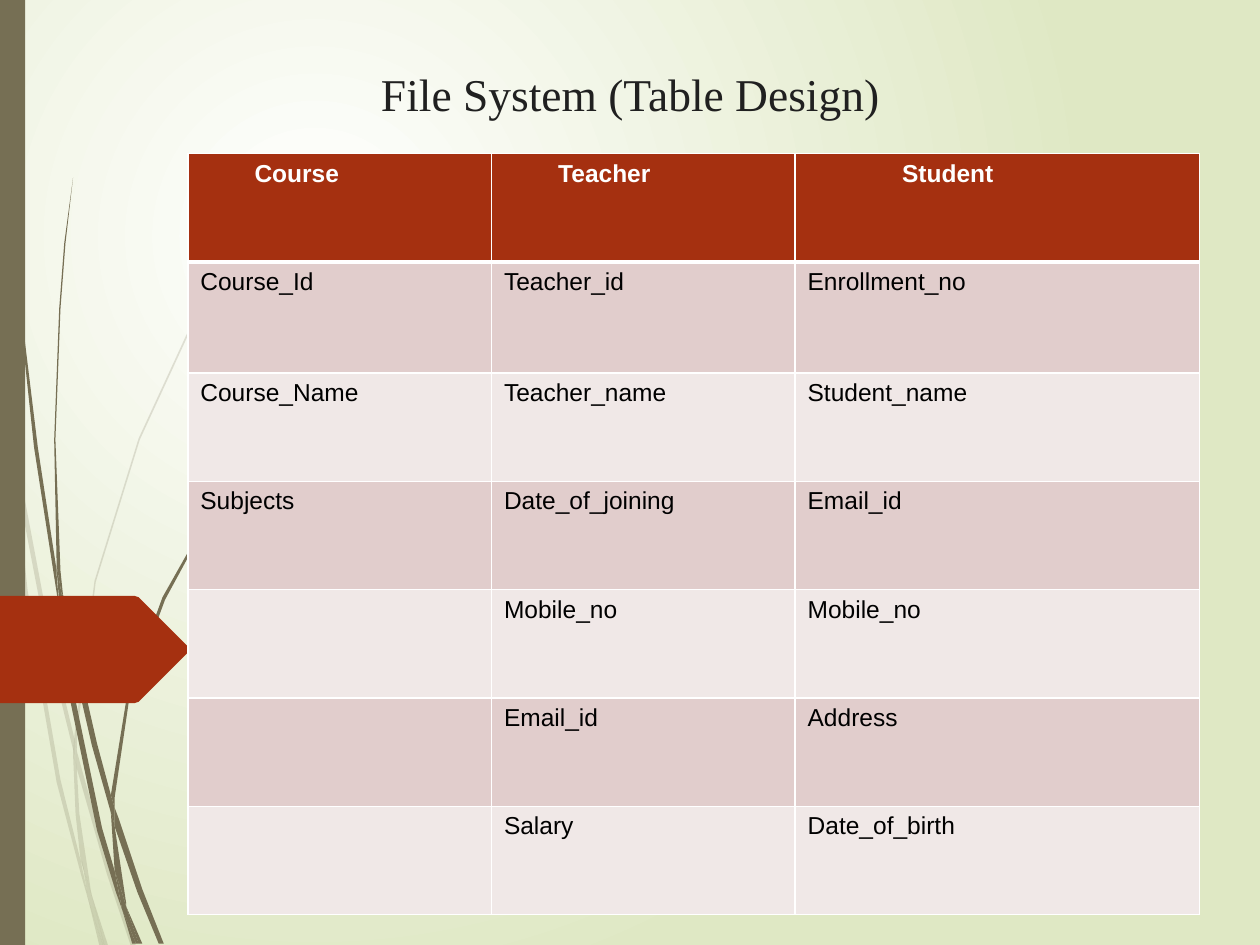
from dataclasses import dataclass
from lxml.etree import SubElement
from pptx import Presentation
from pptx.dml.color import RGBColor
from pptx.enum.shapes import MSO_SHAPE
from pptx.enum.text import MSO_ANCHOR, PP_ALIGN
from pptx.oxml.ns import qn
from pptx.util import Pt

PX = 9144


@dataclass(frozen=True)
class Theme:
    light: str = "FFFFFF"
    green: str = "DFE8C4"
    olive: str = "766F54"
    rust: str = "A53010"
    bands: tuple = ("E1CDCC", "F0E8E7")
    title_ink: str = "202020"
    body_ink: str = "000000"
    title_font: str = "Times New Roman"
    body_font: str = "Arial"
    title_size: int = 26
    body_size: int = 14


THEME = Theme()

PALE_WISPS = [
    [(8, 350), (6, 322), (0, 282), (0, 299), (7, 344)],
    [(40, 522), (59, 599), (59, 586), (43, 520), (10, 345), (12, 376)],
    [(64, 607), (61, 596), (61, 610), (85, 694), (104, 751), (108, 751), (88, 692)],
    [(83, 751), (86, 751), (73, 711)],
    [(64, 683), (48, 619), (22, 469), (12, 376), (8, 350), (19, 470), (45, 621),
     (64, 693), (70, 714), (69, 707)],
    [(58, 599), (60, 646), (64, 683), (67, 692), (73, 711), (72, 706), (63, 646),
     (61, 610), (61, 608)],
    [(61, 584), (76, 462), (111, 349), (159, 245), (187, 198), (201, 175), (217, 154),
     (217, 153), (201, 175), (186, 197), (158, 244), (110, 348), (75, 461), (59, 584),
     (59, 586), (61, 596)],
    [(70, 714), (79, 751), (82, 751)],
    [(61, 608), (61, 610), (61, 596), (59, 586), (58, 599)],
    [(67, 692), (65, 683), (69, 707), (70, 714), (82, 751), (83, 751), (73, 711)],
]

DARK_WISPS = [
    [(5, 110), (14, 233), (27, 355), (46, 477), (47, 481), (45, 457), (45, 453),
     (30, 355), (15, 232), (6, 109), (4, 48), (3, 0), (2, 0), (3, 48)],
    [(73, 592), (88, 645), (88, 633), (88, 631), (77, 590), (50, 472), (53, 505)],
    [(94, 649), (91, 641), (91, 656), (109, 708), (126, 749), (130, 749), (113, 706)],
    [(91, 691), (81, 657), (60, 556), (53, 505), (47, 477), (56, 557), (77, 659),
     (92, 708), (97, 722), (96, 717)],
    [(50, 472), (48, 453), (44, 349), (48, 245), (52, 193), (58, 141), (51, 193),
     (47, 245), (43, 349), (45, 449), (49, 472)],
    [(110, 749), (113, 749), (100, 719)],
    [(47, 477), (53, 505), (50, 472), (49, 472), (45, 449), (45, 453)],
    [(91, 633), (103, 552), (131, 476), (169, 406), (191, 374), (203, 359), (216, 344),
     (215, 344), (203, 358), (191, 373), (168, 405), (129, 474), (101, 551), (88, 631),
     (91, 641)],
    [(97, 722), (105, 749), (108, 749)],
    [(88, 645), (91, 691), (96, 706), (100, 719), (100, 716), (91, 656), (90, 651)],
    [(88, 645), (90, 651), (91, 656), (91, 641), (88, 631), (88, 633)],
    [(96, 706), (91, 691), (96, 717), (97, 722), (108, 749), (110, 749), (100, 719)],
]

ARROW = [(-3, 473), (107, 473), (110, 474), (149, 513), (150, 515), (149, 518),
         (110, 557), (107, 558), (-3, 558)]

COLUMNS = [241, 241, 321]
HEADER_INDENTS = [53, 53, 85]
ROWS = [
    ("Course", "Teacher", "Student"),
    ("Course_Id", "Teacher_id", "Enrollment_no"),
    ("Course_Name", "Teacher_name", "Student_name"),
    ("Subjects", "Date_of_joining", "Email_id"),
    ("", "Mobile_no", "Mobile_no"),
    ("", "Email_id", "Address"),
    ("", "Salary", "Date_of_birth"),
]
ROW_HEIGHTS = [86, 88] + [86] * 5


def write_text(frame, text, font, size, color, bold=False, align=PP_ALIGN.LEFT):
    para = frame.paragraphs[0]
    para.alignment = align
    span = para.add_run()
    span.text = text
    span.font.name = font
    span.font.size = Pt(size)
    span.font.bold = bold
    span.font.color.rgb = RGBColor.from_string(color)


def paint_background(page):
    fill = page.background.fill
    fill.gradient()
    for stop, color in zip(fill.gradient_stops, (THEME.light, THEME.green)):
        stop.color.rgb = RGBColor.from_string(color)
    gradient = page.element.find(".//" + qn("a:gradFill"))
    gradient.remove(gradient.find(qn("a:lin")))
    circle = SubElement(gradient, qn("a:path"), path="circle")
    SubElement(circle, qn("a:fillToRect"), l="50000", t="50000", r="100000", b="100000")


def paint_shape(shape, color, opacity=100):
    shape.shadow.inherit = False
    shape.fill.solid()
    shape.fill.fore_color.rgb = RGBColor.from_string(color)
    shape.line.fill.background()
    if opacity < 100:
        tint = shape.element.spPr.find(".//" + qn("a:srgbClr"))
        SubElement(tint, qn("a:alpha"), val=str(opacity * 1000))


def add_outline(page, points, color, opacity=100):
    builder = page.shapes.build_freeform(*points[0], scale=PX)
    builder.add_line_segments(points[1:], close=True)
    paint_shape(builder.convert_to_shape(), color, opacity)


def add_bar(page, left, top, width, height):
    bar = page.shapes.add_shape(
        MSO_SHAPE.RECTANGLE, left * PX, top * PX, width * PX, height * PX)
    paint_shape(bar, THEME.olive)


def add_title(page, text, left, top, width, height):
    box = page.shapes.add_textbox(left * PX, top * PX, width * PX, height * PX)
    box.text_frame.word_wrap = True
    box.text_frame.vertical_anchor = MSO_ANCHOR.BOTTOM
    write_text(box.text_frame, text, font=THEME.title_font, size=THEME.title_size,
               color=THEME.title_ink, align=PP_ALIGN.CENTER)


def add_borders(cell, top, bottom):
    properties = cell._tc.get_or_add_tcPr()
    for side, width in (("L", 1), ("R", 1), ("T", top), ("B", bottom)):
        line = SubElement(properties, qn(f"a:ln{side}"), w=str(Pt(width)))
        fill = SubElement(line, qn("a:solidFill"))
        SubElement(fill, qn("a:srgbClr"), val=THEME.light)


def add_design_table(page, left, top):
    table = page.shapes.add_table(
        len(ROWS), len(COLUMNS), left * PX, top * PX,
        sum(COLUMNS) * PX, sum(ROW_HEIGHTS) * PX).table
    for column, width in zip(table.columns, COLUMNS):
        column.width = width * PX
    for row, height in zip(table.rows, ROW_HEIGHTS):
        row.height = height * PX
    for r, texts in enumerate(ROWS):
        header = r == 0
        for c, text in enumerate(texts):
            cell = table.cell(r, c)
            add_borders(cell, top=3 if r == 1 else 1, bottom=3 if header else 1)
            cell.fill.solid()
            color = THEME.rust if header else THEME.bands[(r - 1) % 2]
            cell.fill.fore_color.rgb = RGBColor.from_string(color)
            if header:
                cell.margin_left = HEADER_INDENTS[c] * PX
            if text:
                write_text(cell.text_frame, text, font=THEME.body_font,
                           size=THEME.body_size, bold=header,
                           color=THEME.light if header else THEME.body_ink)


def main():
    deck = Presentation()
    deck.slide_width, deck.slide_height = 1000 * PX, 750 * PX
    page = deck.slides.add_slide(deck.slide_layouts[6])
    paint_background(page)
    for points in PALE_WISPS:
        add_outline(page, points, THEME.olive, opacity=20)
    for points in DARK_WISPS:
        add_outline(page, points, THEME.olive)
    add_bar(page, 0, 0, 20, 750)
    add_outline(page, ARROW, THEME.rust)
    add_title(page, "File System (Table Design)", 260, 24, 481, 77)
    add_design_table(page, 149, 122)
    deck.save("out.pptx")


if __name__ == "__main__":
    main()
